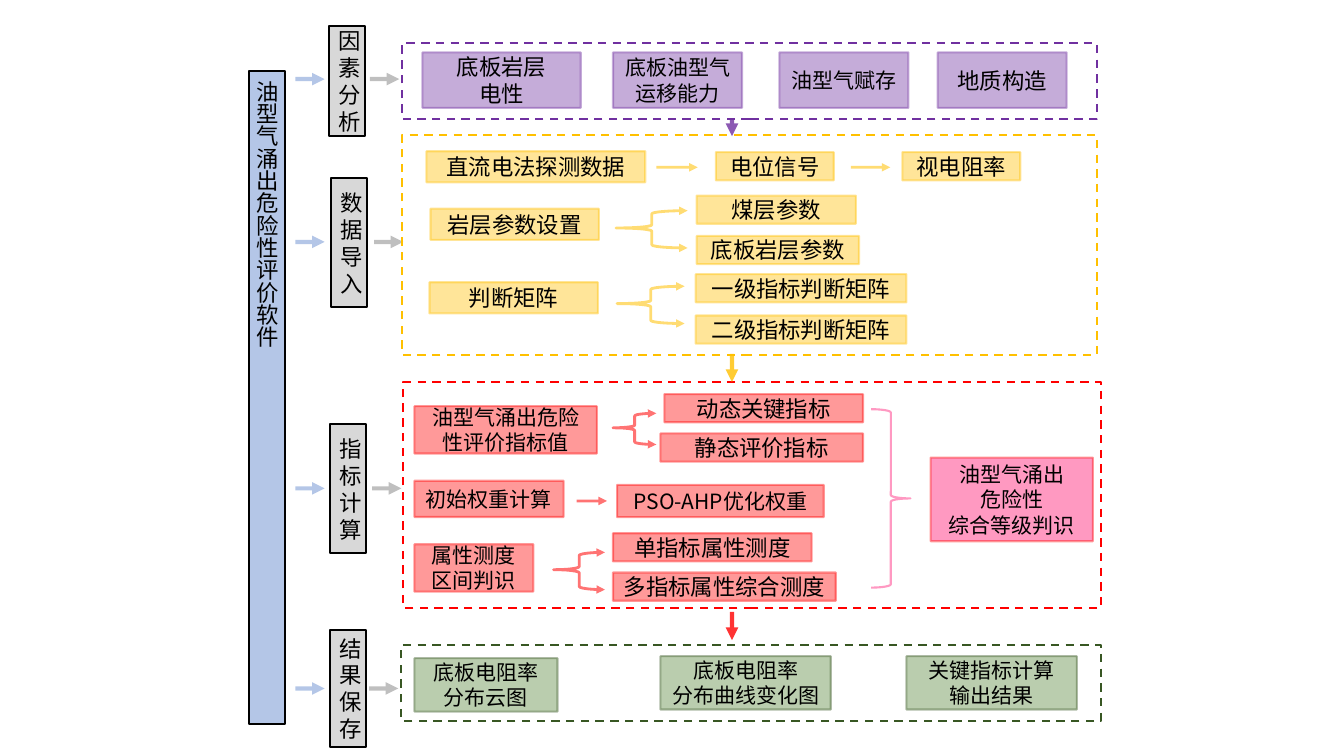
from dataclasses import dataclass

from lxml import etree
from pptx import Presentation
from pptx.dml.color import RGBColor
from pptx.enum.dml import MSO_LINE
from pptx.enum.shapes import MSO_CONNECTOR, MSO_SHAPE
from pptx.enum.text import MSO_ANCHOR, PP_ALIGN
from pptx.oxml.ns import qn
from pptx.util import Inches, Pt

RECTANGLE = MSO_SHAPE.RECTANGLE
LEFT_BRACE, RIGHT_BRACE = MSO_SHAPE.LEFT_BRACE, MSO_SHAPE.RIGHT_BRACE
STRAIGHT = MSO_CONNECTOR.STRAIGHT
DASH = MSO_LINE.DASH
CENTER, MIDDLE = PP_ALIGN.CENTER, MSO_ANCHOR.MIDDLE

SLIDE_WIDTH, SLIDE_HEIGHT = Inches(13.33), Inches(7.5)
COLUMNS, ROWS = 133.3, 75


@dataclass(frozen=True)
class Theme:
    font: str = "Noto Sans CJK SC"
    ink: str = "000000"
    blue: str = "4472C4"
    silver: str = "BFBFBF"
    gray: str = "808080"
    purple: str = "7030A0"
    amber: str = "FFC000"
    red: str = "FF0000"
    rose: str = "FF0066"
    pink: str = "FF99C2"
    green: str = "548235"
    dark_green: str = "385723"
    large: int = 16
    small: int = 15
    outline: float = 1.5
    thin_arrow: float = 2
    thick_arrow: float = 3


class Flowchart:
    """Draws on one slide; every length is in grid columns and rows."""

    def __init__(self, slide, theme):
        self.slide = slide
        self.theme = theme

    def place(self, left, top, width, height):
        column, row = SLIDE_WIDTH / COLUMNS, SLIDE_HEIGHT / ROWS
        return [round(n) for n in (left * column, top * row, width * column, height * row)]

    def set_opacity(self, parent, percent):
        color = parent.find(f"{qn('a:solidFill')}/{qn('a:srgbClr')}")
        etree.SubElement(color, qn("a:alpha"), val=str(percent * 1000))

    def stroke(self, shape, color, width, opacity=100, ends=()):
        shape.line.color.rgb = RGBColor.from_string(color)
        shape.line.width = Pt(width)
        line = shape._element.spPr.find(qn("a:ln"))
        self.set_opacity(line, opacity)
        for end in ends:
            etree.SubElement(line, qn(f"a:{end}"), type="triangle")

    def outline(self, kind, area, color, width, opacity=100, ends=()):
        shape = self.slide.shapes.add_shape(kind, *self.place(*area))
        shape.shadow.inherit = False
        shape.fill.background()
        self.stroke(shape, color, width, opacity, ends)
        return shape

    def frame(self, area, color):
        self.outline(RECTANGLE, area, color, self.theme.outline).line.dash_style = DASH

    def box(self, text, area, size, fill, border, fill_opacity=40, border_opacity=40):
        shape = self.outline(RECTANGLE, area, border, self.theme.outline, border_opacity)
        shape.fill.solid()
        shape.fill.fore_color.rgb = RGBColor.from_string(fill)
        self.set_opacity(shape._element.spPr, fill_opacity)
        frame = shape.text_frame
        frame.word_wrap = True
        frame.vertical_anchor = MIDDLE
        frame.text = text
        for paragraph in frame.paragraphs:
            paragraph.alignment = CENTER
            for run in paragraph.runs:
                run.font.size = Pt(size)
                run.font.name = self.theme.font
                run.font.color.rgb = RGBColor.from_string(self.theme.ink)
                etree.SubElement(run.font._element, qn("a:ea"), typeface=self.theme.font)
        return shape

    def label(self, text, area, fill, fill_opacity):
        return self.box(text, area, self.theme.large, fill, self.theme.ink, fill_opacity, 100)

    def fork(self, area, color):
        """Brace whose two tips are arrowheads."""
        brace = self.outline(LEFT_BRACE, area, color, self.theme.thin_arrow, 55,
                             ("headEnd", "tailEnd"))
        brace.adjustments[0] = 0.083
        brace.adjustments[1] = 0.465

    def arrow(self, start, end, color, width, opacity):
        connector = self.slide.shapes.add_connector(STRAIGHT, *self.place(*start, *end))
        self.stroke(connector, color, width, opacity, ("tailEnd",))
        etree.SubElement(connector._element.spPr, qn("a:effectLst"))


THEME = Theme()
LARGE, SMALL = THEME.large, THEME.small
SPINE_X = 72.6

# Stage name, its area, arrow height, start of the arrow that leaves it
STAGES = [
    ("因素分析", (32.6, 2.6, 3.6, 10.9), 7.85, 36.7),
    ("数据导入", (32.8, 17.7, 3.6, 12.8), 24, 37.1),
    ("指标计算", (32.7, 42.1, 3.6, 12.8), 48.45, 36.9),
    ("结果保存", (32.7, 62.5, 3.6, 11.6), 68.3, 36.6),
]

# Frame, fill and border, then boxes as (text, area, size)
PANELS = [
    ((39.9, 4.3, 68.9, 7.5), THEME.purple, THEME.purple, [
        ("底板岩层\n电性", (41.9, 5.2, 15.7, 5.5), LARGE),
        ("底板油型气运移能力", (60.8, 5.2, 12.8, 5.5), SMALL),
        ("油型气赋存", (77.3, 5.2, 12.8, 5.5), SMALL),
        ("地质构造", (93, 5.2, 12.8, 5.5), LARGE),
    ]),
    ((39.9, 13.4, 68.9, 21.8), THEME.amber, THEME.amber, [
        ("直流电法探测数据", (42.3, 15, 21.7, 3.1), LARGE),
        ("电位信号", (71, 15.1, 11.7, 2.8), LARGE),
        ("视电阻率", (89.5, 15.1, 11.7, 2.8), LARGE),
        ("岩层参数设置", (42.7, 20.7, 16.7, 3.1), LARGE),
        ("煤层参数", (69.1, 19.4, 15.8, 2.8), LARGE),
        ("底板岩层参数", (69.1, 23.4, 16.1, 2.8), LARGE),
        ("判断矩阵", (42.6, 28, 16.7, 3.1), LARGE),
        ("一级指标判断矩阵", (69, 27.2, 20.9, 2.8), LARGE),
        ("二级指标判断矩阵", (69, 31.3, 20.9, 2.8), LARGE),
    ]),
    ((40, 37.9, 69.2, 22.4), THEME.red, THEME.red, [
        ("油型气涌出危险性评价指标值", (41.1, 40.3, 18.1, 4.7), SMALL),
        ("动态关键指标", (65.9, 39.1, 19.7, 2.8), LARGE),
        ("静态评价指标", (65.5, 43, 20.1, 2.8), LARGE),
        ("初始权重计算", (41.1, 47.7, 14.8, 3.6), SMALL),
        ("PSO-AHP优化权重", (61.2, 48.1, 20.5, 3.2), SMALL),
        ("属性测度区间判识", (41.1, 54, 11.8, 4.7), SMALL),
        ("单指标属性测度", (60.8, 52.9, 19.7, 2.8), LARGE),
        ("多指标属性综合测度", (60.8, 56.8, 22.1, 2.8), LARGE),
    ]),
    ((39.8, 64, 69.4, 7.5), THEME.green, THEME.dark_green, [
        ("底板电阻率分布云图", (41.1, 65.3, 14.2, 5.3), SMALL),
        ("底板电阻率\n分布曲线变化图", (65.5, 65.1, 16.9, 5.3), SMALL),
        ("关键指标计算\n输出结果", (89.9, 65.1, 16.9, 5.3), SMALL),
    ]),
]

FORKS = [
    ((61.1, 20.9, 7.1, 3.7), THEME.amber),
    ((61.2, 28.4, 6.7, 3.7), THEME.amber),
    ((60.8, 41, 4.3, 3.1), THEME.red),
    ((54.9, 54.8, 5.1, 3.7), THEME.red),
]

# Left, right, height, colour
STEP_ARROWS = [
    (65.1, 69.2, 16.6, THEME.amber),
    (84.4, 88.3, 16.6, THEME.amber),
    (57.2, 60.2, 49.7, THEME.red),
]

# Top, bottom, colour
PANEL_ARROWS = [
    (11.9, 13.5, THEME.purple),
    (35.1, 37.9, THEME.amber),
    (60.7, 63.5, THEME.red),
]


def main():
    presentation = Presentation()
    presentation.slide_width, presentation.slide_height = SLIDE_WIDTH, SLIDE_HEIGHT
    slide = presentation.slides.add_slide(presentation.slide_layouts[6])
    chart = Flowchart(slide, THEME)

    title = chart.label("油型气涌出危险性评价软件", (24.7, 7, 3.6, 64.8), THEME.blue, 40)
    title.text_frame._txBody.bodyPr.set("vert", "eaVert")

    for name, area, y, exit_x in STAGES:
        chart.label(name, area, THEME.silver, 60)
        chart.arrow((29.3, y), (32.2, y), THEME.blue, THEME.thick_arrow, 40)
        chart.arrow((exit_x, y), (exit_x + 2.9, y), THEME.gray, THEME.thick_arrow, 50)

    for frame, fill, border, boxes in PANELS:
        chart.frame(frame, border)
        for text, area, size in boxes:
            chart.box(text, area, size, fill, border)

    for area, color in FORKS:
        chart.fork(area, color)
    for left, right, y, color in STEP_ARROWS:
        chart.arrow((left, y), (right, y), color, THEME.thin_arrow, 55)
    for top, bottom, color in PANEL_ARROWS:
        chart.arrow((SPINE_X, top), (SPINE_X, bottom), color, THEME.thick_arrow, 80)

    chart.outline(RIGHT_BRACE, (86.4, 40.6, 3.9, 17.7), THEME.pink, THEME.outline)
    chart.box("油型气涌出\n危险性\n综合等级判识", (92.3, 45.4, 16.1, 8.3), SMALL,
              THEME.rose, THEME.red)

    presentation.save("out.pptx")


if __name__ == "__main__":
    main()
